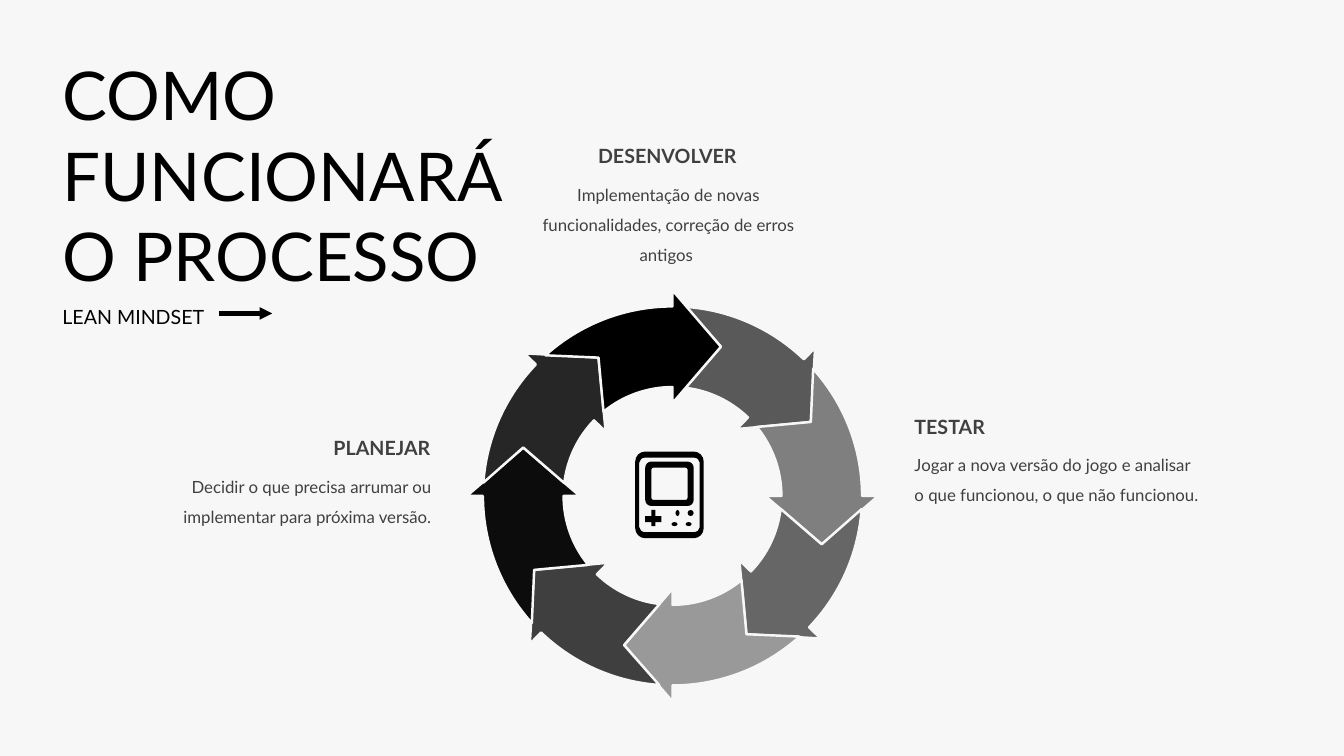
import math
from dataclasses import dataclass

import pptx
import pptx.dml.color
import pptx.enum.shapes
import pptx.enum.text
import pptx.oxml.ns
import pptx.util
from lxml import etree

Inches = pptx.util.Inches
Align = pptx.enum.text.PP_ALIGN
qn = pptx.oxml.ns.qn
Point = tuple[float, float]

FONT = "Lato"
PAPER, INK, GREY = "F7F7F7", "000000", "404040"
RING_CENTRE = (6.67, 4.92)
OUTER, INNER, MIDDLE = 1.88, 1.08, 1.48
HEAD_OUTER, HEAD_INNER, HEAD_LENGTH = 2.04, 0.92, 0.48
RING_COLOURS = ["595959", "7F7F7F", "666666", "999999",
                "3F3F3F", "0C0C0C", "262626", "000000"]


@dataclass
class Stage:
    heading: str
    detail: str
    heading_box: tuple[float, float, float, float]
    detail_box: tuple[float, float, float, float]
    align: Align


@dataclass
class Panel:
    left: float
    top: float
    right: float
    bottom: float
    rx: float
    ry: float


@dataclass
class Vertex:
    at: Point
    controls: tuple[Point, ...] = ()


STAGES = [
    Stage("DESENVOLVER",
          "Implementação de novas funcionalidades, correção de erros antigos ",
          (5.39, 1.45, 2.46, 0.33), (5.22, 1.73, 2.82, 0.75), Align.CENTER),
    Stage("PLANEJAR",
          "Decidir o que precisa arrumar ou implementar para próxima versão.",
          (1.81, 4.35, 2.46, 0.33), (1.46, 4.63, 2.82, 0.75), Align.RIGHT),
    Stage("TESTAR",
          "Jogar a nova versão do jogo e analisar o que funcionou, o que não funcionou.",
          (9.07, 4.14, 2.86, 0.32), (9.07, 4.41, 2.82, 0.75), Align.LEFT),
]

CONSOLE_PANELS = [
    Panel(6.30, 4.48, 6.98, 5.34, 0.10, 0.10),
    Panel(6.34, 4.54, 6.94, 5.28, 0.06, 0.05),
    Panel(6.40, 4.58, 6.88, 5.02, 0.06, 0.06),
    Panel(6.46, 4.64, 6.82, 4.96, 0.02, 0.02),
    Panel(6.70, 5.06, 6.74, 5.12, 0.02, 0.03),
    Panel(6.82, 5.06, 6.88, 5.12, 0.03, 0.03),
    Panel(6.66, 5.18, 6.72, 5.22, 0.03, 0.02),
    Panel(6.80, 5.18, 6.86, 5.22, 0.03, 0.02),
]
CONTROL_CROSS = [(6.46, 5.06), (6.50, 5.06), (6.50, 5.12), (6.56, 5.12),
                 (6.56, 5.18), (6.50, 5.18), (6.50, 5.22), (6.46, 5.22),
                 (6.46, 5.18), (6.40, 5.18), (6.40, 5.12), (6.46, 5.12)]


def colour(value: str) -> pptx.dml.color.RGBColor:
    return pptx.dml.color.RGBColor.from_string(value)


def write(paragraph, text: str, size: float, ink: str, bold: bool = False) -> None:
    run = paragraph.add_run()
    run.text = text
    run.font.name = FONT
    run.font.size = pptx.util.Pt(size)
    run.font.bold = bold
    run.font.color.rgb = colour(ink)


def add_label(slide, box: tuple, text: str, size: float, ink: str, bold: bool = False,
              align: Align = Align.LEFT, spacing: float = 1.0,
              margin: bool = False) -> None:
    label = slide.shapes.add_textbox(*map(Inches, box))
    frame = label.text_frame
    frame.word_wrap = not margin
    if not margin:
        frame.margin_left = frame.margin_right = 0
        frame.margin_top = frame.margin_bottom = 0
    paragraph = frame.paragraphs[0]
    paragraph.alignment = align
    paragraph.line_spacing = spacing
    write(paragraph, text, size, ink, bold)


def bend(outline, contours: list[list[Vertex]]) -> None:
    segments = list(outline._element.iter(qn("a:lnTo")))
    vertices = [vertex for contour in contours for vertex in contour[1:]]
    for segment, vertex in zip(segments, vertices):
        if vertex.controls:
            curve = etree.Element(qn("a:cubicBezTo"))
            for x, y in (*vertex.controls, vertex.at):
                etree.SubElement(curve, qn("a:pt"), x=str(Inches(x) - outline.left),
                                 y=str(Inches(y) - outline.top))
            segment.getparent().replace(segment, curve)


def add_outline(slide, contours: list[list[Vertex]], fill: str, edge: str | None = None) -> None:
    scaled = [[tuple(map(Inches, vertex.at)) for vertex in contour] for contour in contours]
    builder = slide.shapes.build_freeform(*scaled[0][0])
    for index, contour in enumerate(scaled):
        if index:
            builder.move_to(*contour[0])
        builder.add_line_segments(contour[1:], close=False)
        builder._add_close()
    outline = builder.convert_to_shape()
    bend(outline, contours)
    outline.shadow.inherit = False
    outline.fill.solid()
    outline.fill.fore_color.rgb = colour(fill)
    if edge:
        outline.line.color.rgb = colour(edge)
        outline.line.width = pptx.util.Pt(1.75)
    else:
        outline.line.fill.background()


def arc(centre: Point, rx: float, ry: float, start: float, end: float) -> list[Vertex]:
    first, last = math.radians(start), math.radians(end)
    pull = 4 / 3 * math.tan((last - first) / 4)

    def spot(angle: float, lean: float = 0) -> Point:
        return (centre[0] + rx * (math.sin(angle) + lean * math.cos(angle)),
                centre[1] - ry * (math.cos(angle) - lean * math.sin(angle)))

    return [Vertex(spot(first)), Vertex(spot(last), (spot(first, pull), spot(last, -pull)))]


def on_ring(radius: float, degrees: float) -> Vertex:
    return arc(RING_CENTRE, radius, radius, degrees, degrees)[0]


def ring_turn(position: int) -> float:
    return 45 * position - 1.1 * (position % 2)


def ring_arrow(position: int) -> list[Vertex]:
    previous, turn = ring_turn(position - 1), ring_turn(position)
    tip_radius = math.hypot(MIDDLE, HEAD_LENGTH)
    tip_angle = math.degrees(math.atan2(HEAD_LENGTH, MIDDLE))
    return [
        *arc(RING_CENTRE, OUTER, OUTER, previous + 4, turn),
        on_ring(HEAD_OUTER, turn),
        on_ring(tip_radius, turn + tip_angle),
        on_ring(HEAD_INNER, turn),
        *arc(RING_CENTRE, INNER, INNER, turn, previous + 6.8),
        on_ring(tip_radius, previous + tip_angle),
    ]


def rounded(panel: Panel) -> list[Vertex]:
    left, right = panel.left + panel.rx, panel.right - panel.rx
    top, bottom = panel.top + panel.ry, panel.bottom - panel.ry
    contour: list[Vertex] = []
    for quarter, corner in enumerate([(right, top), (right, bottom), (left, bottom), (left, top)]):
        start, end = arc(corner, panel.rx, panel.ry, 90 * quarter, 90 * quarter + 90)
        if not contour or math.dist(contour[-1].at, start.at) > 0.005:
            contour.append(start)
        contour.append(end)
    return contour


def add_title(slide, lines: list[str]) -> None:
    title = slide.shapes.title
    title.left, title.top, title.width, title.height = map(Inches, (0.52, 0.48, 4.73, 2.52))
    frame = title.text_frame
    frame.word_wrap = False
    frame.auto_size = pptx.enum.text.MSO_AUTO_SIZE.SHAPE_TO_FIT_TEXT
    frame.vertical_anchor = pptx.enum.text.MSO_ANCHOR.TOP
    for index, line in enumerate(lines):
        paragraph = frame.add_paragraph() if index else frame.paragraphs[0]
        paragraph.alignment = Align.LEFT
        write(paragraph, line, 48, INK)


def add_pointer(slide, start: Point, end: Point) -> None:
    pointer = slide.shapes.add_connector(
        pptx.enum.shapes.MSO_CONNECTOR.STRAIGHT, *map(Inches, start + end))
    pointer.line.color.rgb = colour(INK)
    pointer.line.width = pptx.util.Pt(3)
    etree.SubElement(pointer.line._get_or_add_ln(), qn("a:tailEnd"), type="triangle")
    etree.SubElement(pointer._element.spPr, qn("a:effectLst"))


def main() -> None:
    deck = pptx.Presentation()
    deck.slide_width, deck.slide_height = Inches(13.33), Inches(7.5)
    slide = deck.slides.add_slide(deck.slide_layouts[5])
    slide.background.fill.solid()
    slide.background.fill.fore_color.rgb = colour(PAPER)
    add_title(slide, ["COMO", "FUNCIONARÁ", "O PROCESSO"])
    for stage in STAGES:
        add_label(slide, stage.detail_box, stage.detail, 12, GREY, False, stage.align, 1.5)
        add_label(slide, stage.heading_box, stage.heading, 14, GREY, True, stage.align, 0.9)
    for position, shade in enumerate(RING_COLOURS, start=1):
        add_outline(slide, [ring_arrow(position)], shade, PAPER)
    add_pointer(slide, (2.17, 3.11), (2.7, 3.11))
    add_label(slide, (0.52, 2.98, 1.65, 0.34), "LEAN MINDSET", 14, INK, margin=True)
    cross = [Vertex(corner) for corner in CONTROL_CROSS]
    add_outline(slide, [*map(rounded, CONSOLE_PANELS), cross], INK)
    deck.save("out.pptx")


if __name__ == "__main__":
    main()
